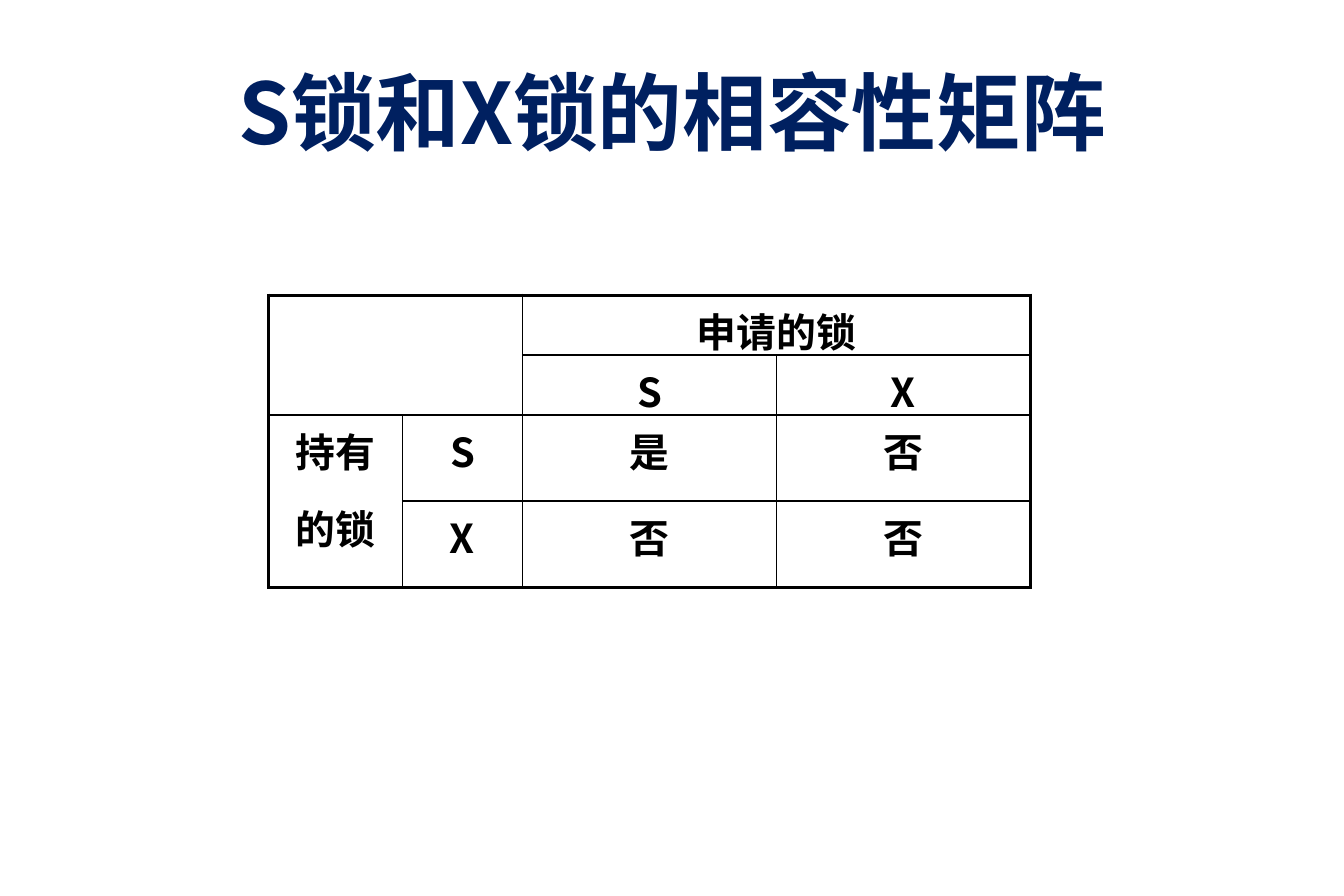
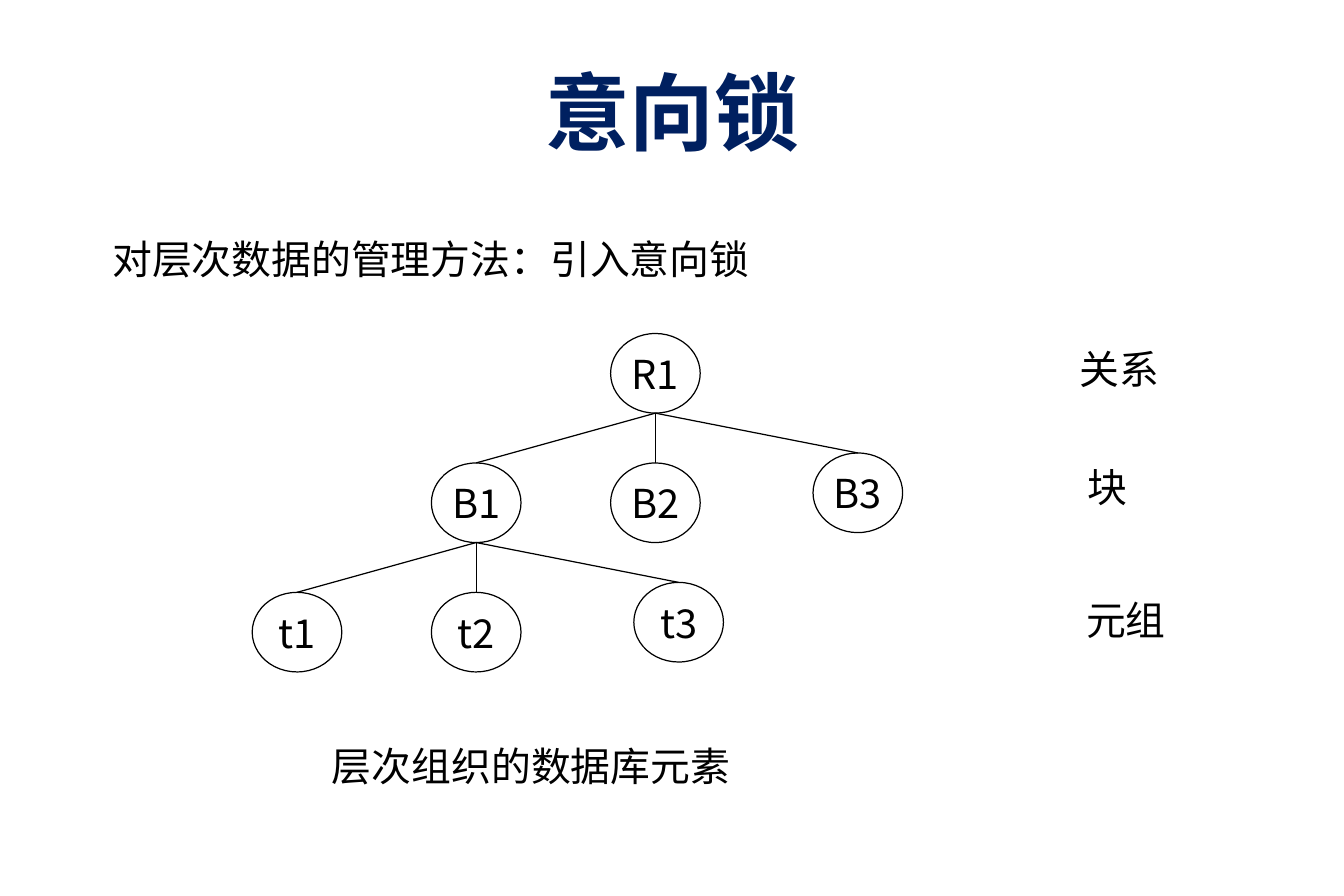
from dataclasses import dataclass

from lxml import etree
from pptx import Presentation
from pptx.dml.color import RGBColor
from pptx.enum.shapes import MSO_CONNECTOR, MSO_SHAPE
from pptx.enum.text import MSO_ANCHOR, PP_ALIGN
from pptx.oxml.ns import qn
from pptx.util import Pt

NAVY = RGBColor(0x00, 0x20, 0x60)
BLACK = RGBColor(0x00, 0x00, 0x00)
WHITE = RGBColor(0xFF, 0xFF, 0xFF)
FONT = "Noto Sans CJK SC"
BODY_SIZE = 24
TITLE_SIZE = 51
THIN, THICK = 1, 2.25
LINE_WIDTH = 0.75
NO_TABLE_STYLE = "{2D5ABB26-0587-4C30-8999-92F81FD0307C}"

LEFT, CENTER = PP_ALIGN.LEFT, PP_ALIGN.CENTER
TOP, MIDDLE = MSO_ANCHOR.TOP, MSO_ANCHOR.MIDDLE
OVAL = MSO_SHAPE.OVAL
STRAIGHT = MSO_CONNECTOR.STRAIGHT


@dataclass(frozen=True)
class Label:
    text: str
    x: float
    y: float
    w: float
    h: float = 36
    pad_x: float = 7.2
    pad_y: float = 3.6


@dataclass(frozen=True)
class Node:
    text: str
    x: float
    y: float


NODE_W, NODE_H = 54, 48
CHILD_OFFSETS = ((-108, 78), (0, 78), (122, 72))

COL_WIDTHS = (80.5, 72.5, 153, 153)
ROW_HEIGHTS = (27.5, 28, 52, 52)
MERGES = (((0, 0), (1, 1)), ((0, 2), (0, 3)), ((2, 0), (3, 0)))
CELL_TEXTS = {
    (0, 2): ("申请的锁",),
    (1, 2): ("S",),
    (1, 3): ("X",),
    (2, 0): ("持有", "的锁"),
    (2, 1): ("S",),
    (2, 2): ("是",),
    (2, 3): ("否",),
    (3, 1): ("X",),
    (3, 2): ("否",),
    (3, 3): ("否",),
}

LEVEL_LABELS = (
    Label("关系", 643.5, 204.5, 109),
    Label("块", 648.5, 275.5, 109),
    Label("元组", 647.5, 355.5, 109),
)
SUMMARY = Label("对层次数据的管理方法：引入意向锁", 59, 137, 718, 331, 8.64, 4.32)
CAPTION = Label("层次组织的数据库元素", 193, 443.5, 401)


def add_text(p, text: str, size: float = BODY_SIZE, color: RGBColor = BLACK,
             bold: bool = False, align: PP_ALIGN = LEFT) -> None:
    p.alignment = align
    r = p.add_run()
    r.text = text
    r.font.size = Pt(size)
    r.font.bold = bold
    r.font.color.rgb = color
    r.font.name = FONT
    ea = etree.SubElement(r.font._element, qn("a:ea"))
    ea.set("typeface", FONT)


def add_label(s, label: Label, size: float = BODY_SIZE, color: RGBColor = BLACK,
              bold: bool = False, align: PP_ALIGN = LEFT,
              anchor: MSO_ANCHOR = TOP) -> None:
    sp = s.shapes.add_textbox(Pt(label.x), Pt(label.y), Pt(label.w), Pt(label.h))
    tf = sp.text_frame
    tf.word_wrap = True
    tf.vertical_anchor = anchor
    tf.margin_left = tf.margin_right = Pt(label.pad_x)
    tf.margin_top = tf.margin_bottom = Pt(label.pad_y)
    add_text(tf.paragraphs[0], label.text, size, color, bold, align)


def add_slide(prs, title: str):
    s = prs.slides.add_slide(prs.slide_layouts[6])
    s.background.fill.solid()
    s.background.fill.fore_color.rgb = WHITE
    add_label(s, Label(title, 40.5, 21.5, 729, 90, 8.64, 4.32),
              TITLE_SIZE, NAVY, True, CENTER, MIDDLE)
    return s


def set_borders(cell, widths: dict[str, float]) -> None:
    tc_pr = cell._tc.get_or_add_tcPr()
    for i, (side, width) in enumerate(widths.items()):
        ln = etree.Element(qn(f"a:ln{side}"), w=str(Pt(width)))
        fill = etree.SubElement(ln, qn("a:solidFill"))
        etree.SubElement(fill, qn("a:srgbClr"), val=str(BLACK))
        tc_pr.insert(i, ln)


def add_matrix(s, x: float, y: float) -> None:
    rows, cols = len(ROW_HEIGHTS), len(COL_WIDTHS)
    frame = s.shapes.add_table(rows, cols, Pt(x), Pt(y),
                               Pt(sum(COL_WIDTHS)), Pt(sum(ROW_HEIGHTS)))
    table = frame.table
    table.first_row = table.horz_banding = False
    table._tbl.tblPr.find(qn("a:tableStyleId")).text = NO_TABLE_STYLE
    for col, width in zip(table.columns, COL_WIDTHS):
        col.width = Pt(width)
    for row, height in zip(table.rows, ROW_HEIGHTS):
        row.height = Pt(height)
    for start, end in MERGES:
        table.cell(*start).merge(table.cell(*end))

    for i in range(rows):
        for j in range(cols):
            cell = table.cell(i, j)
            cell.fill.background()
            if cell.is_spanned:
                continue
            bottom = i + (cell.span_height if cell.is_merge_origin else 1)
            right = j + (cell.span_width if cell.is_merge_origin else 1)
            set_borders(cell, {
                "L": THICK if j == 0 else THIN,
                "R": THICK if right == cols else THIN,
                "T": THICK if i == 0 else THIN,
                "B": THICK if bottom == rows else THIN,
            })
            tf = cell.text_frame
            for k, text in enumerate(CELL_TEXTS.get((i, j), ())):
                p = tf.add_paragraph() if k else tf.paragraphs[0]
                if k:
                    p.space_before = Pt(BODY_SIZE / 2)
                add_text(p, text, bold=True, align=CENTER)


def add_node(s, node: Node) -> None:
    sp = s.shapes.add_shape(OVAL, Pt(node.x), Pt(node.y), Pt(NODE_W), Pt(NODE_H))
    sp.shadow.inherit = False
    sp.fill.background()
    sp.line.color.rgb = BLACK
    sp.line.width = Pt(LINE_WIDTH)
    tf = sp.text_frame
    tf.word_wrap = False
    tf.vertical_anchor = MIDDLE
    add_text(tf.paragraphs[0], node.text, align=CENTER)


def add_edge(s, parent: Node, child: Node) -> None:
    half = NODE_W / 2
    cxn = s.shapes.add_connector(STRAIGHT, Pt(parent.x + half), Pt(parent.y + NODE_H),
                                 Pt(child.x + half), Pt(child.y))
    cxn.line.color.rgb = BLACK
    cxn.line.width = Pt(LINE_WIDTH)
    etree.SubElement(cxn._element.spPr, qn("a:effectLst"))


def add_children(s, parent: Node, names: tuple[str, ...]) -> list[Node]:
    children = [Node(name, parent.x + dx, parent.y + dy)
                for name, (dx, dy) in zip(names, CHILD_OFFSETS)]
    for child in children:
        add_node(s, child)
        add_edge(s, parent, child)
    return children


def build_matrix_slide(prs) -> None:
    s = add_slide(prs, "S锁和X锁的相容性矩阵")
    add_matrix(s, 162, 178)


def build_hierarchy_slide(prs) -> None:
    s = add_slide(prs, "意向锁")
    add_label(s, SUMMARY)
    relation = Node("R1", 368, 201)
    add_node(s, relation)
    blocks = add_children(s, relation, ("B1", "B2", "B3"))
    add_children(s, blocks[0], ("t1", "t2", "t3"))
    for label in (*LEVEL_LABELS, CAPTION):
        add_label(s, label)


def main() -> None:
    prs = Presentation()
    prs.slide_width, prs.slide_height = Pt(810), Pt(540)
    build_matrix_slide(prs)
    build_hierarchy_slide(prs)
    prs.save("out.pptx")


main()
